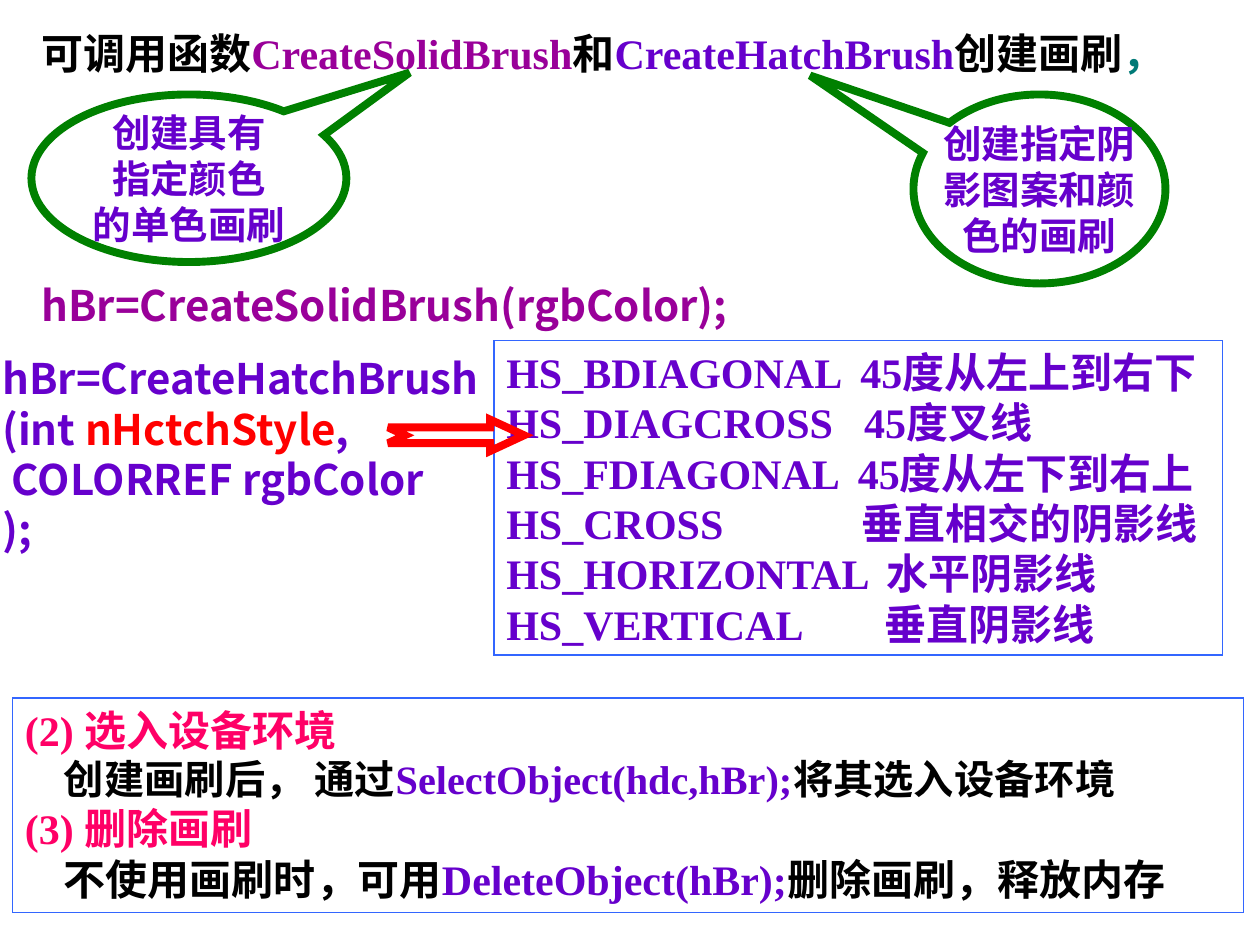
from typing import NamedTuple

import pptx
import pptx.dml.color
import pptx.enum.shapes
import pptx.enum.text
import pptx.oxml.ns
import pptx.util
from lxml import etree

Inches = pptx.util.Inches
Pt = pptx.util.Pt
RGBColor = pptx.dml.color.RGBColor
Shape = pptx.enum.shapes.MSO_SHAPE
Align = pptx.enum.text.PP_ALIGN
Anchor = pptx.enum.text.MSO_ANCHOR
qn = pptx.oxml.ns.qn

BLACK = RGBColor(0x00, 0x00, 0x00)
PLUM = RGBColor(0x99, 0x00, 0x99)
VIOLET = RGBColor(0x66, 0x00, 0xCC)
TEAL = RGBColor(0x00, 0x7A, 0x77)
GREEN = RGBColor(0x00, 0x80, 0x00)
BLUE = RGBColor(0x33, 0x66, 0xFF)
PINK = RGBColor(0xFF, 0x00, 0x66)
RED = RGBColor(0xFF, 0x00, 0x00)
SERIF = "Times New Roman"
SANS = "Noto Sans CJK SC"


class Run(NamedTuple):
    text: str
    ink: RGBColor


class Para(NamedTuple):
    runs: list[Run]
    size: float = 24
    face: str = SERIF
    align: Align = Align.LEFT
    tab: float = 0
    left: float = 0
    gap: float = 0


class Call(NamedTuple):
    box: tuple[float, float, float, float]
    tip: tuple[float, float]
    lines: list[str]


def write(shape, paras: list[Para], wrap: bool = True,
          anchor: Anchor = Anchor.TOP, right: float = 0.1) -> None:
    frame = shape.text_frame
    frame.word_wrap = wrap
    frame.vertical_anchor = anchor
    frame.margin_right = Inches(right)
    for i, item in enumerate(paras):
        para = frame.add_paragraph() if i else frame.paragraphs[0]
        para.alignment = item.align
        if item.gap:
            para.space_before = Pt(item.gap)
        props = para._p.get_or_add_pPr()
        if item.left:
            props.set("marL", str(Inches(item.left)))
        if item.tab:
            tabs = etree.SubElement(props, qn("a:tabLst"))
            etree.SubElement(tabs, qn("a:tab"), pos=str(Inches(item.tab)), algn="l")
        font = para.font
        font.size, font.bold, font.name = Pt(item.size), True, item.face
        etree.SubElement(props.find(qn("a:defRPr")), qn("a:ea"), typeface=SANS)
        same = len({run.ink for run in item.runs}) == 1
        if same:
            font.color.rgb = item.runs[0].ink
        for part in item.runs:
            run = para.add_run()
            run.text = part.text
            if not same:
                run.font.color.rgb = part.ink


def text(slide, box: tuple[float, float, float, float], paras: list[Para]) -> None:
    write(slide.shapes.add_textbox(*map(Inches, box)), paras)


def draw(slide, kind: Shape, box: tuple[float, float, float, float],
         ink: RGBColor, width: float, adjust: tuple[float, ...] = ()):
    shape = slide.shapes.add_shape(kind, *map(Inches, box))
    shape.shadow.inherit = False
    shape.fill.background()
    shape.line.color.rgb = ink
    shape.line.width = Pt(width)
    etree.SubElement(shape.line._get_or_add_ln(), qn("a:miter"), lim="800000")
    for i, value in enumerate(adjust):
        shape.adjustments[i] = value
    return shape


def main() -> None:
    deck = pptx.Presentation()
    deck.slide_width, deck.slide_height = Inches(10), Inches(7.5)
    slide = deck.slides.add_slide(deck.slide_layouts[6])

    # Heading and the solid brush call
    text(slide, (0.23, 0.17, 9.52, 2.5), [
        Para([Run("可调用函数", BLACK), Run("CreateSolidBrush", PLUM),
              Run("和", BLACK), Run("CreateHatchBrush", VIOLET),
              Run("创建画刷", BLACK), Run("，", TEAL)]),
        Para([Run("hBr=CreateSolidBrush(rgbColor);", PLUM)], face=SANS, gap=115),
    ])

    # Callouts
    calls = [
        Call((0.25, 0.75, 2.5, 1.33), (0.7, -0.63),
             ["创建具有", "指定颜色", "的单色画刷"]),
        Call((7.25, 0.75, 2, 1.5), (-0.91, -0.6),
             ["创建指定阴", "影图案和颜", "色的画刷"]),
    ]
    for call in calls:
        shape = draw(slide, Shape.OVAL_CALLOUT, call.box, GREEN, 4.5, call.tip)
        write(shape, [Para([Run(line, VIOLET)], size=22, align=Align.CENTER)
                      for line in call.lines], wrap=False, anchor=Anchor.MIDDLE)

    # Steps 2 and 3
    steps = draw(slide, Shape.RECTANGLE, (0.1, 5.54, 9.77, 1.7), BLUE, 0.75)
    write(steps, [
        Para([Run("(2) 选入设备环境", PINK)]),
        Para([Run("创建画刷后， 通过", BLACK), Run("SelectObject(hdc,hBr);", VIOLET),
              Run("将其选入设备环境", BLACK)], size=23, left=0.31),
        Para([Run("(3) 删除画刷", PINK)]),
        Para([Run("不使用画刷时，可用", BLACK), Run("DeleteObject(hBr);", VIOLET),
              Run("删除画刷，释放内存", BLACK)], left=0.31),
    ])

    # Hatch brush call
    code = [
        [Run("hBr=CreateHatchBrush", VIOLET)],
        [Run("(int ", VIOLET), Run("nHctchStyle", RED), Run(",", VIOLET)],
        [Run(" COLORREF rgbColor", VIOLET)],
        [Run(");", VIOLET)],
    ]
    text(slide, (-0.08, 2.75, 4.2, 1.7), [Para(runs, face=SANS) for runs in code])

    # Hatch styles, with the meaning at a tab stop
    styles = [
        ("HS_BDIAGONAL", "45度从左上到右下", 2.81),
        ("HS_DIAGCROSS", "45度叉线", 2.84),
        ("HS_FDIAGONAL", "45度从左下到右上", 2.79),
        ("HS_CROSS", "垂直相交的阴影线", 2.82),
        ("HS_HORIZONTAL", "水平阴影线", 3.02),
        ("HS_VERTICAL", "垂直阴影线", 3),
    ]
    table = draw(slide, Shape.RECTANGLE, (3.92, 2.7, 5.78, 2.5), BLUE, 0.75)
    write(table, [Para([Run(f"{name}\t{note}", VIOLET)], tab=tab)
                  for name, note, tab in styles], right=0)

    # Arrow from the parameter to the styles
    draw(slide, Shape.NOTCHED_RIGHT_ARROW, (3.08, 3.33, 1.08, 0.25), RED, 4.5, (0.5, 1.08))

    deck.save("out.pptx")


if __name__ == "__main__":
    main()
